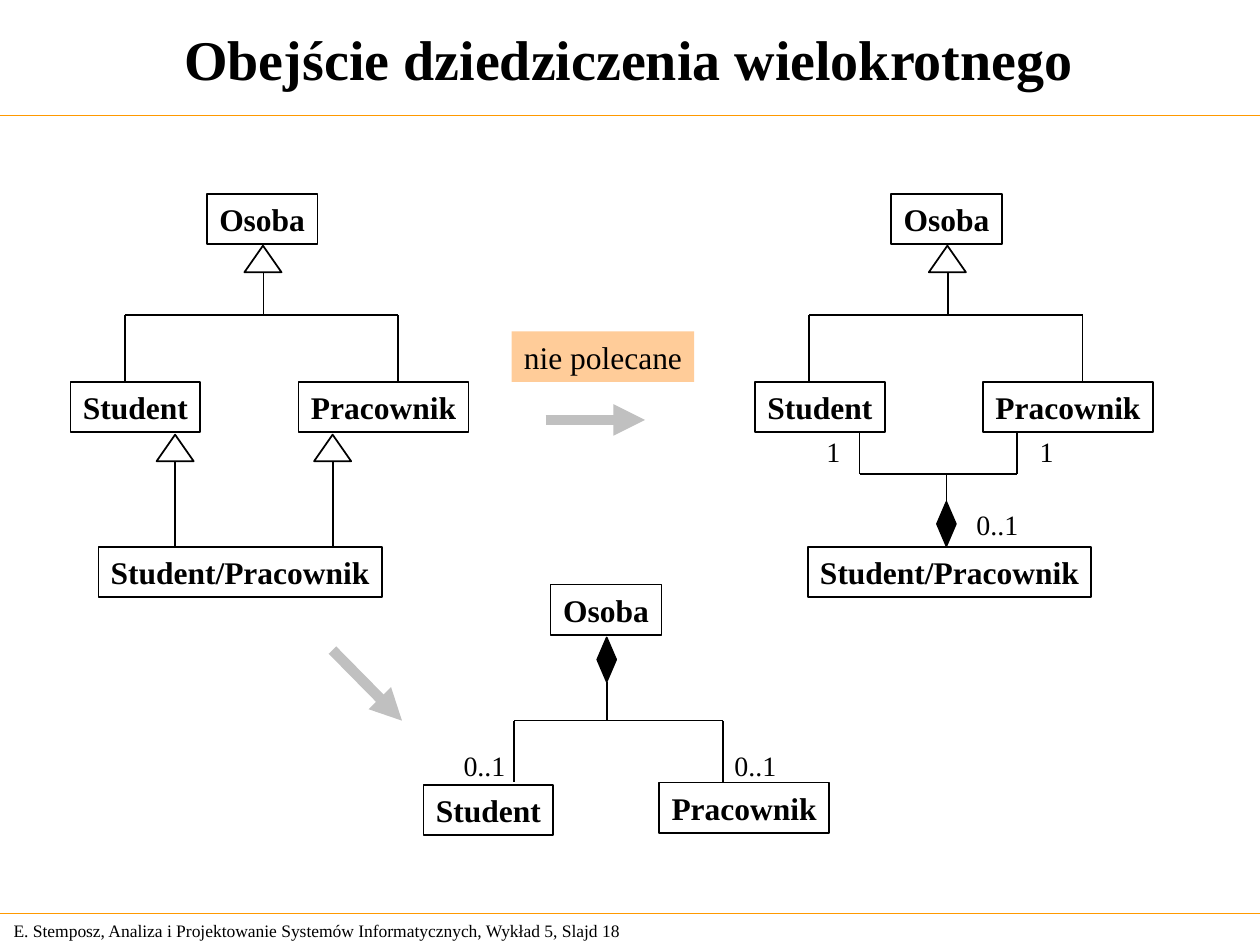
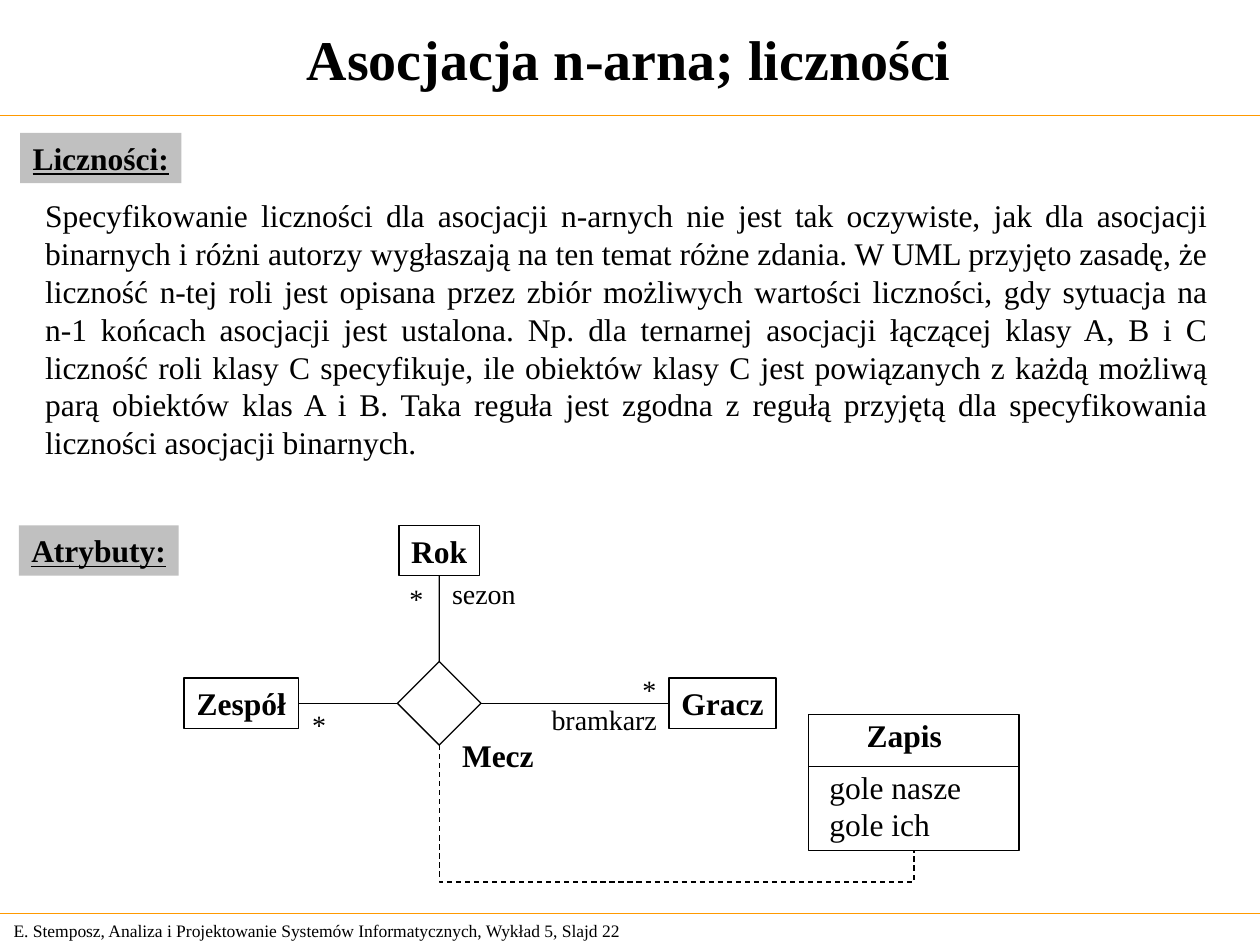
from lxml import etree
from pptx import Presentation
from pptx.dml.color import RGBColor
from pptx.enum.dml import MSO_LINE
from pptx.enum.shapes import MSO_CONNECTOR, MSO_SHAPE
from pptx.enum.text import MSO_ANCHOR, MSO_AUTO_SIZE, PP_ALIGN
from pptx.oxml.ns import qn
from pptx.util import Pt

COLORS = {"ink": "000000", "rule": "FF9900", "gray": "C0C0C0", "peach": "FFCC99"}
FONT = "Times New Roman"
SLIDE_W, SLIDE_H = 720, 540
TITLE_H, FOOTER_Y = 66.2, 522
BOX_H = 28.8
TRIANGLE_W, TRIANGLE_H = 21.2, 15.2
DIAMOND_W, DIAMOND_H = 10.8, 25.2


def rgb(name):
    return RGBColor.from_string(COLORS[name])


# Basic parts
def set_text(sp, text, size=18, bold=False, underline=False,
             align=PP_ALIGN.LEFT, anchor=MSO_ANCHOR.TOP, wrap=False):
    tf = sp.text_frame
    tf.text = text
    tf.word_wrap = wrap
    tf.auto_size = MSO_AUTO_SIZE.NONE
    tf.vertical_anchor = anchor
    tf.margin_left = tf.margin_right = Pt(7.2)
    tf.margin_top = tf.margin_bottom = Pt(3.6)
    for p in tf.paragraphs:
        p.alignment = align
        p.font.name, p.font.size = FONT, Pt(size)
        p.font.bold, p.font.underline = bold, underline
        p.font.color.rgb = rgb("ink")


def add_label(slide, text, x, y, w, h=26.6, size=16, **style):
    sp = slide.shapes.add_textbox(Pt(x), Pt(y), Pt(w), Pt(h))
    set_text(sp, text, size, **style)
    return sp


def add_figure(slide, kind, x, y, w, h, fill=None, line="ink", width=1):
    sp = slide.shapes.add_shape(kind, Pt(x), Pt(y), Pt(w), Pt(h))
    sp.shadow.inherit = False
    if fill:
        sp.fill.solid()
        sp.fill.fore_color.rgb = rgb(fill)
    else:
        sp.fill.background()
    if line:
        sp.line.color.rgb = rgb(line)
        sp.line.width = Pt(width)
    else:
        sp.line.fill.background()
    return sp


def add_class(slide, name, x, y, w, width=1):
    sp = add_figure(slide, MSO_SHAPE.RECTANGLE, x, y, w, BOX_H, width=width)
    set_text(sp, name, bold=True, align=PP_ALIGN.CENTER, anchor=MSO_ANCHOR.MIDDLE)
    return sp


def add_tag(slide, text, x, y, w, fill, **style):
    sp = add_figure(slide, MSO_SHAPE.RECTANGLE, x, y, w, BOX_H, fill, None)
    set_text(sp, text, **style)


def add_line(slide, x1, y1, x2, y2, color="ink", width=1, arrow=False,
             kind=MSO_CONNECTOR.STRAIGHT):
    cn = slide.shapes.add_connector(kind, Pt(x1), Pt(y1), Pt(x2), Pt(y2))
    cn.line.color.rgb = rgb(color)
    cn.line.width = Pt(width)
    if arrow:
        etree.SubElement(cn.line._get_or_add_ln(), qn("a:tailEnd"), type="triangle")
    etree.SubElement(cn._element.spPr, qn("a:effectLst"))
    return cn


def join(slide, start, start_side, end, end_side, **style):
    cn = add_line(slide, 0, 0, 0, 0, **style)
    cn.begin_connect(start, start_side)
    cn.end_connect(end, end_side)
    return cn


def add_triangle(slide, center_x, y):
    add_figure(slide, MSO_SHAPE.ISOSCELES_TRIANGLE, center_x - TRIANGLE_W / 2, y,
               TRIANGLE_W, TRIANGLE_H)


def add_composition_mark(slide, center_x, y):
    add_figure(slide, MSO_SHAPE.DIAMOND, center_x - DIAMOND_W / 2, y,
               DIAMOND_W, DIAMOND_H, "ink")


def add_fork(slide, stem_x, stem_y, left, right, bar_y, leg_y):
    add_line(slide, stem_x, stem_y, stem_x, bar_y)
    add_line(slide, left, bar_y, right, bar_y)
    for x in (left, right):
        add_line(slide, x, bar_y, x, leg_y)


# Title, rules and footer shared by the slides
def add_page(prs, title, number):
    slide = prs.slides.add_slide(prs.slide_layouts[5])
    sp = slide.shapes.title
    sp.left, sp.top, sp.width, sp.height = Pt(0), Pt(0), Pt(719), Pt(TITLE_H)
    set_text(sp, title, 32, bold=True, align=PP_ALIGN.CENTER,
             anchor=MSO_ANCHOR.MIDDLE, wrap=True)
    for y in (TITLE_H, FOOTER_Y):
        add_line(slide, 0, y, SLIDE_W, y, "rule", 0.75)
    add_label(slide, "E. Stemposz, Analiza i Projektowanie Systemów Informatycznych, "
              f"Wykład 5, Slajd {number}", 0.7, FOOTER_Y, 377.3, 19.4, 10,
              anchor=MSO_ANCHOR.MIDDLE, wrap=True)
    return slide


# Osoba with its two subclasses
def add_person_tree(slide, x, y):
    add_class(slide, "Osoba", x + 77.8, y, 63.4)
    add_triangle(slide, x + 110, y + 29.5)
    add_class(slide, "Student", x, y + 107.3, 74.2)
    add_class(slide, "Pracownik", x + 130.3, y + 107.3, 97.2)
    add_fork(slide, x + 110.3, y + 45, x + 31, x + 187.2, y + 69.1, y + 107.3)


def add_multiple_inheritance(slide, x, y):
    add_person_tree(slide, x, y)
    add_class(slide, "Student/Pracownik", x + 15.9, y + 201.6, 162)
    for parent_x in (x + 59.8, x + 149.8):
        add_triangle(slide, parent_x, y + 137.5)
        add_line(slide, parent_x, y + 153, parent_x, y + 201.6)


def add_role_composition(slide, x, y):
    add_person_tree(slide, x, y)
    add_class(slide, "Student/Pracownik", x + 30.2, y + 201.6, 162)
    add_composition_mark(slide, x + 109.4, y + 175.9)
    add_fork(slide, x + 109.4, y + 175.9, x + 59.8, x + 149.9, y + 160, y + 136.8)
    add_label(slide, "0..1", x + 119.5, y + 175.7, 38.2)
    for label_x in (x + 33.8, x + 155.5):
        add_label(slide, "1", label_x, y + 133.9, 22.3)


def add_full_composition(slide, x, y):
    add_class(slide, "Osoba", x + 72.6, y, 63.4)
    add_composition_mark(slide, x + 104.7, y + 30.3)
    add_class(slide, "Student", x, y + 114.5, 74.2)
    add_class(slide, "Pracownik", x + 134.6, y + 113.1, 97.2)
    add_fork(slide, x + 104.9, y + 55.5, x + 51.8, x + 171.3, y + 77.8, y + 113)
    for label_x in (x + 15.8, x + 170.6):
        add_label(slide, "0..1", label_x, y + 90.4, 38.2)


# Association class with its two compartments
def add_record_class(slide, x, y):
    w, h, header_h = 120.2, 77.8, 29.8
    sp = add_figure(slide, MSO_SHAPE.RECTANGLE, x, y, w, h, width=0.75)
    add_line(slide, x, y + header_h, x + w, y + header_h, width=0.75)
    add_label(slide, "Zapis", x + 26, y - 2.6, 57.6, BOX_H, 18, bold=True)
    add_label(slide, "gole nasze\ngole ich", x + 4.6, y + 26.9, 90, 50.4, 18)
    return sp


def add_match_diagram(slide, x, y):
    thin = {"width": 0.75}
    side = 47.8
    match_x, match_y = x + 122, y + 77.8
    match = add_figure(slide, MSO_SHAPE.DIAMOND, match_x, match_y, side, side, **thin)
    team = add_class(slide, "Zespół", x, y + 87.3, 65.5, **thin)
    player = add_class(slide, "Gracz", x + 277.2, y + 87.3, 61.2, **thin)
    year = add_class(slide, "Rok", x + 122.9, y, 46.1, **thin)
    record = add_record_class(slide, x + 357.1, y + 108)
    join(slide, team, 3, match, 1, **thin)
    join(slide, match, 3, player, 1, **thin)
    join(slide, year, 2, match, 0, **thin)

    # Dashed elbow below both shapes: a quarter-turned, mirrored connector
    cn = join(slide, match, 2, record, 2, kind=MSO_CONNECTOR.ELBOW, **thin)
    cn.line.dash_style = MSO_LINE.DASH
    start_x, start_y = match_x + side / 2, match_y + side
    end_x, end_y = x + 357.1 + 60.1, y + 108 + 77.8
    run, drop = end_x - start_x, end_y - start_y
    cn.left = Pt((start_x + end_x - drop) / 2)
    cn.top = Pt((start_y + end_y - run) / 2)
    cn.width, cn.height = Pt(drop), Pt(run)
    xfrm = cn._element.spPr.find(qn("a:xfrm"))
    xfrm.set("rot", "16200000")
    xfrm.set("flipH", "1")
    guides = cn._element.spPr.find(qn("a:prstGeom")).get_or_add_avLst()
    etree.SubElement(guides, qn("a:gd"), name="adj1", fmla="val 129900")

    # Roles and multiplicities
    for text, dx, dy, w in (("*", 254.9, 80.6, 22.3), ("bramkarz", 203, 97.9, 74.2),
                            ("sezon", 146.2, 25.9, 50.4), ("*", 121.7, 28.8, 22.3),
                            ("*", 66.2, 100.8, 22.3)):
        add_label(slide, text, x + dx, y + dy, w)
    add_label(slide, "Mecz", x + 151.9, y + 116.6, 55.4, BOX_H, 18, bold=True)


def build_inheritance_slide(prs):
    slide = add_page(prs, "Obejście dziedziczenia wielokrotnego", 18)
    add_multiple_inheritance(slide, 40.3, 110.9)
    add_role_composition(slide, 431.4, 110.9)
    add_full_composition(slide, 242, 334)
    add_tag(slide, "nie polecane", 292.3, 189.4, 104.4, "peach")
    add_line(slide, 311.8, 240, 368.6, 240, "gray", 6, arrow=True)
    add_line(slide, 190, 371.5, 229.7, 411.8, "gray", 6, arrow=True)


def build_association_slide(prs):
    slide = add_page(prs, "Asocjacja n-arna; liczności", 22)
    heading = {"fill": "gray", "bold": True, "underline": True}
    add_tag(slide, "Liczności:", 11.5, 75.9, 92.2, **heading)
    add_label(slide, "Specyfikowanie liczności dla asocjacji n-arnych nie jest tak "
              "oczywiste, jak dla asocjacji binarnych i różni autorzy wygłaszają na ten "
              "temat różne zdania. W UML przyjęto zasadę, że liczność n-tej roli jest "
              "opisana przez zbiór możliwych wartości liczności, gdy sytuacja na n-1 "
              "końcach asocjacji jest ustalona. Np. dla ternarnej asocjacji łączącej "
              "klasy A, B i C liczność roli klasy C specyfikuje, ile obiektów klasy C "
              "jest powiązanych z każdą możliwą parą obiektów klas A i B. Taka reguła "
              "jest zgodna z regułą przyjętą dla specyfikowania liczności asocjacji "
              "binarnych.", 18.7, 108.7, 679, 158.4, 18,
              align=PP_ALIGN.JUSTIFY, wrap=True)
    add_tag(slide, "Atrybuty:", 10.8, 300.2, 91.4, **heading)
    add_match_diagram(slide, 105.1, 300.2)


def main():
    prs = Presentation()
    prs.slide_width, prs.slide_height = Pt(SLIDE_W), Pt(SLIDE_H)
    build_inheritance_slide(prs)
    build_association_slide(prs)
    prs.save("out.pptx")


if __name__ == "__main__":
    main()
